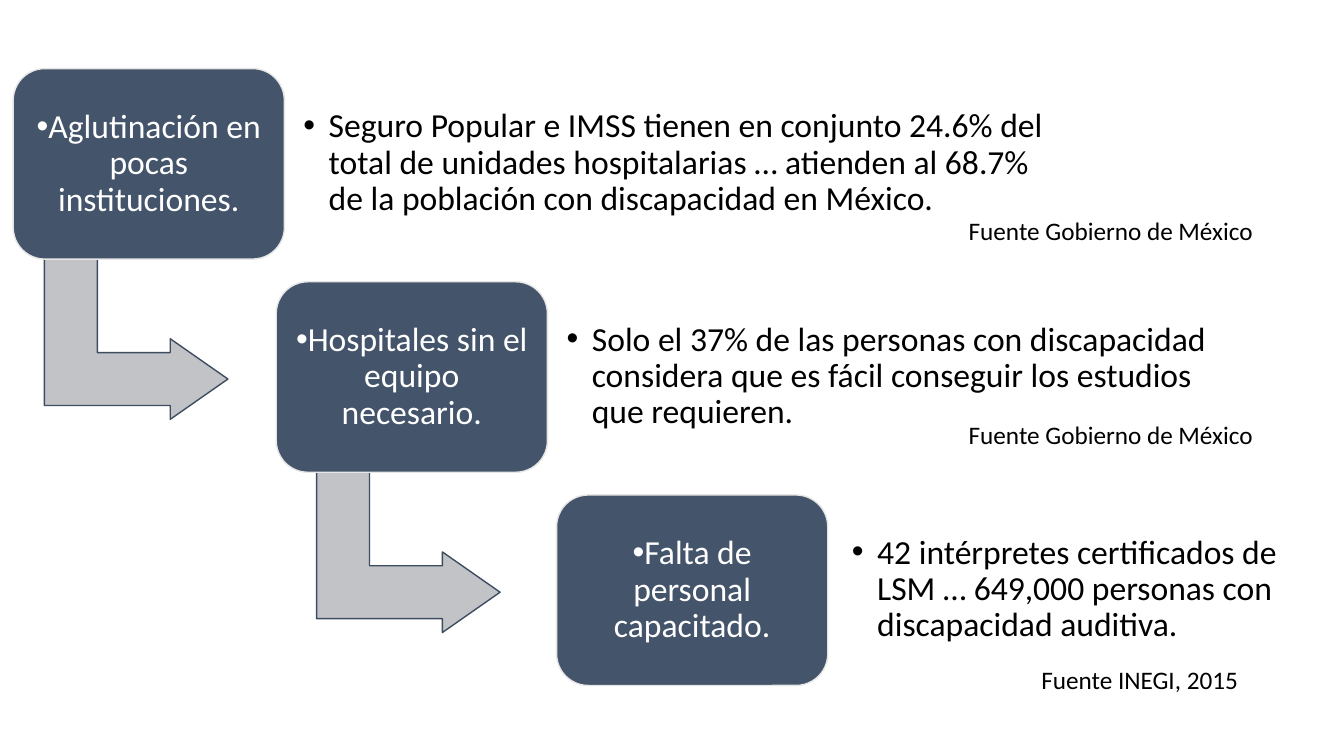
from dataclasses import dataclass

from lxml import etree
from pptx import Presentation
from pptx.dml.color import RGBColor
from pptx.enum.shapes import MSO_SHAPE
from pptx.enum.text import MSO_ANCHOR, MSO_AUTO_SIZE, PP_ALIGN
from pptx.oxml.ns import qn
from pptx.util import Emu, Inches, Pt

ROUNDED = MSO_SHAPE.ROUNDED_RECTANGLE
BENT_ARROW = MSO_SHAPE.BENT_UP_ARROW
MIDDLE = MSO_ANCHOR.MIDDLE
TOP = MSO_ANCHOR.TOP
CENTER = PP_ALIGN.CENTER
LEFT = PP_ALIGN.LEFT
NO_AUTOFIT = MSO_AUTO_SIZE.NONE

NAVY = RGBColor(0x44, 0x54, 0x6A)
PALE = RGBColor(0xE7, 0xE6, 0xE6)
GRAY = RGBColor(0xC1, 0xC3, 0xC7)
SLATE = RGBColor(0x3E, 0x4C, 0x60)
WHITE = RGBColor(0xFF, 0xFF, 0xFF)
BLACK = RGBColor(0x00, 0x00, 0x00)

FONT = "Calibri"
SLIDE_WIDTH = Inches(13.33)
SLIDE_HEIGHT = Inches(7.5)
COMPARISON_LAYOUT = 4
FIRST_TOP = 9.07
STEP_PITCH = 28.2
BOX_WIDTH, BOX_HEIGHT = 20.18, 25.2
DETAIL_OFFSET, DETAIL_HEIGHT = 2.4, 20.27
ARROW_OFFSET, ARROW_WIDTH, ARROW_HEIGHT = 23.6, 12, 24.27
SOURCE_HEIGHT = 5.33


@dataclass(frozen=True)
class Area:
    """Position and size in percent of the slide."""
    left: float
    top: float
    width: float
    height: float

    def lengths(self) -> tuple[Emu, Emu, Emu, Emu]:
        return (
            Emu(round(SLIDE_WIDTH * self.left / 100)),
            Emu(round(SLIDE_HEIGHT * self.top / 100)),
            Emu(round(SLIDE_WIDTH * self.width / 100)),
            Emu(round(SLIDE_HEIGHT * self.height / 100)),
        )


@dataclass(frozen=True)
class Step:
    problem: str
    box_left: float
    detail: str
    detail_left: float
    detail_width: float
    arrow_left: float | None = None


@dataclass(frozen=True)
class Source:
    text: str
    left: float
    top: float
    width: float


STEPS = (
    Step("Aglutinación en pocas instituciones.", 0.98,
         "Seguro Popular e IMSS tienen en conjunto 24.6% del total de unidades "
         "hospitalarias … atienden al 68.7% de la población con discapacidad en México.",
         21.83, 56.71, 4.13),
    Step("Hospitales sin el equipo necesario.", 20.55,
         "Solo el 37% de las personas con discapacidad considera que es fácil "
         "conseguir los estudios que requieren.",
         41.41, 52.06, 24.38),
    Step("Falta de personal capacitado.", 41.41,
         "42 intérpretes certificados de LSM … 649,000 personas con discapacidad auditiva.",
         62.64, 35.48),
)

SOURCES = (
    Source("Fuente Gobierno de México", 71.34, 27.87, 23.18),
    Source("Fuente Gobierno de México", 71.34, 54.8, 23.18),
    Source("Fuente INEGI, 2015", 76.74, 87.2, 17.93),
)


def format_text(shape, text: str, size: int, color: RGBColor, alignment, anchor):
    frame = shape.text_frame
    frame.text = text
    frame.word_wrap = True
    frame.auto_size = NO_AUTOFIT
    frame.vertical_anchor = anchor
    paragraph = frame.paragraphs[0]
    paragraph.alignment = alignment
    font = paragraph.runs[0].font
    font.name, font.size, font.bold = FONT, Pt(size), False
    font.color.rgb = color
    return paragraph


def format_bullet(shape, text: str, color: RGBColor, alignment, indent: float) -> None:
    paragraph = format_text(shape, text, 24, color, alignment, MIDDLE)
    paragraph.line_spacing = 0.9
    paragraph.space_before = Pt(0)
    frame = shape.text_frame
    frame.margin_left = frame.margin_right = Inches(0.1)
    frame.margin_top = frame.margin_bottom = Inches(0.1)
    properties = paragraph._p.get_or_add_pPr()
    properties.set("marL", str(Inches(indent)))
    properties.set("indent", str(-Inches(indent)))
    etree.SubElement(properties, qn("a:buFont"), typeface="Arial")
    etree.SubElement(properties, qn("a:buChar"), char="•")


def add_filled_shape(slide, kind, area: Area, fill: RGBColor, line: RGBColor):
    shape = slide.shapes.add_shape(kind, *area.lengths())
    shape.shadow.inherit = False
    shape.fill.solid()
    shape.fill.fore_color.rgb = fill
    shape.line.color.rgb = line
    shape.line.width = Pt(1)
    return shape


def add_arrow(slide, left: float, top: float) -> None:
    area = Area(left, top, ARROW_WIDTH, ARROW_HEIGHT)
    arrow = add_filled_shape(slide, BENT_ARROW, area, GRAY, SLATE)
    arrow.rotation = 90
    for index, value in enumerate((0.328, 0.25, 0.358)):
        arrow.adjustments[index] = value


def add_step(slide, step: Step, top: float, placeholder) -> None:
    if step.arrow_left is not None:
        add_arrow(slide, step.arrow_left, top + ARROW_OFFSET)
    box_area = Area(step.box_left, top, BOX_WIDTH, BOX_HEIGHT)
    box = add_filled_shape(slide, ROUNDED, box_area, NAVY, PALE)
    format_bullet(box, step.problem, WHITE, CENTER, 0)
    detail_area = Area(step.detail_left, top + DETAIL_OFFSET, step.detail_width, DETAIL_HEIGHT)
    (placeholder.left, placeholder.top,
     placeholder.width, placeholder.height) = detail_area.lengths()
    format_bullet(placeholder, step.detail, BLACK, LEFT, 0.25)


def add_source(slide, source: Source) -> None:
    area = Area(source.left, source.top, source.width, SOURCE_HEIGHT)
    text_box = slide.shapes.add_textbox(*area.lengths())
    format_text(text_box, source.text, 18, BLACK, LEFT, TOP)


def main() -> None:
    presentation = Presentation()
    presentation.slide_width = SLIDE_WIDTH
    presentation.slide_height = SLIDE_HEIGHT
    slide = presentation.slides.add_slide(presentation.slide_layouts[COMPARISON_LAYOUT])
    title, *bodies = slide.placeholders
    for unused in (title, *bodies[len(STEPS):]):
        unused.element.getparent().remove(unused.element)
    for index, (step, body) in enumerate(zip(STEPS, bodies)):
        add_step(slide, step, FIRST_TOP + index * STEP_PITCH, body)
    for source in SOURCES:
        add_source(slide, source)
    presentation.save("out.pptx")


if __name__ == "__main__":
    main()
